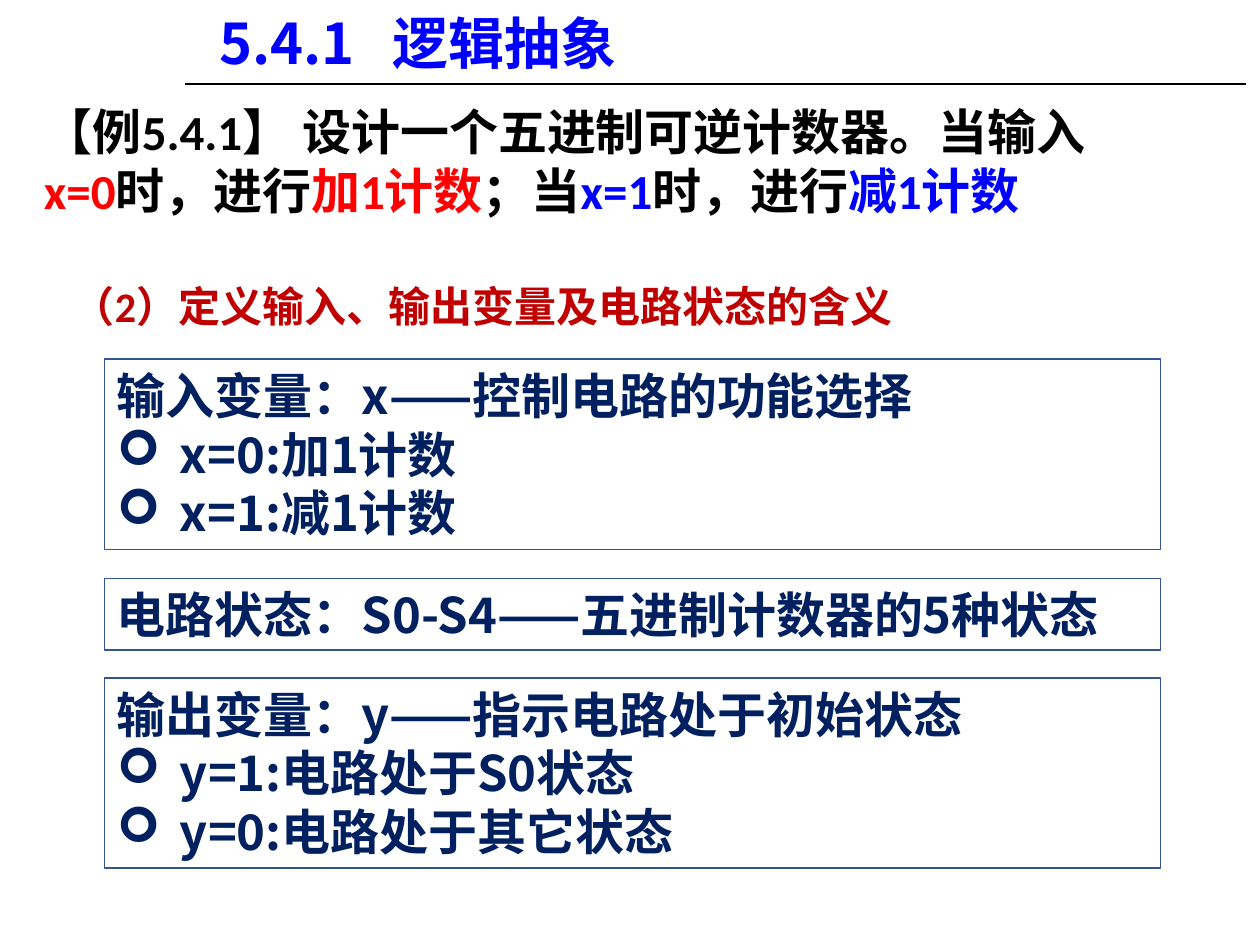
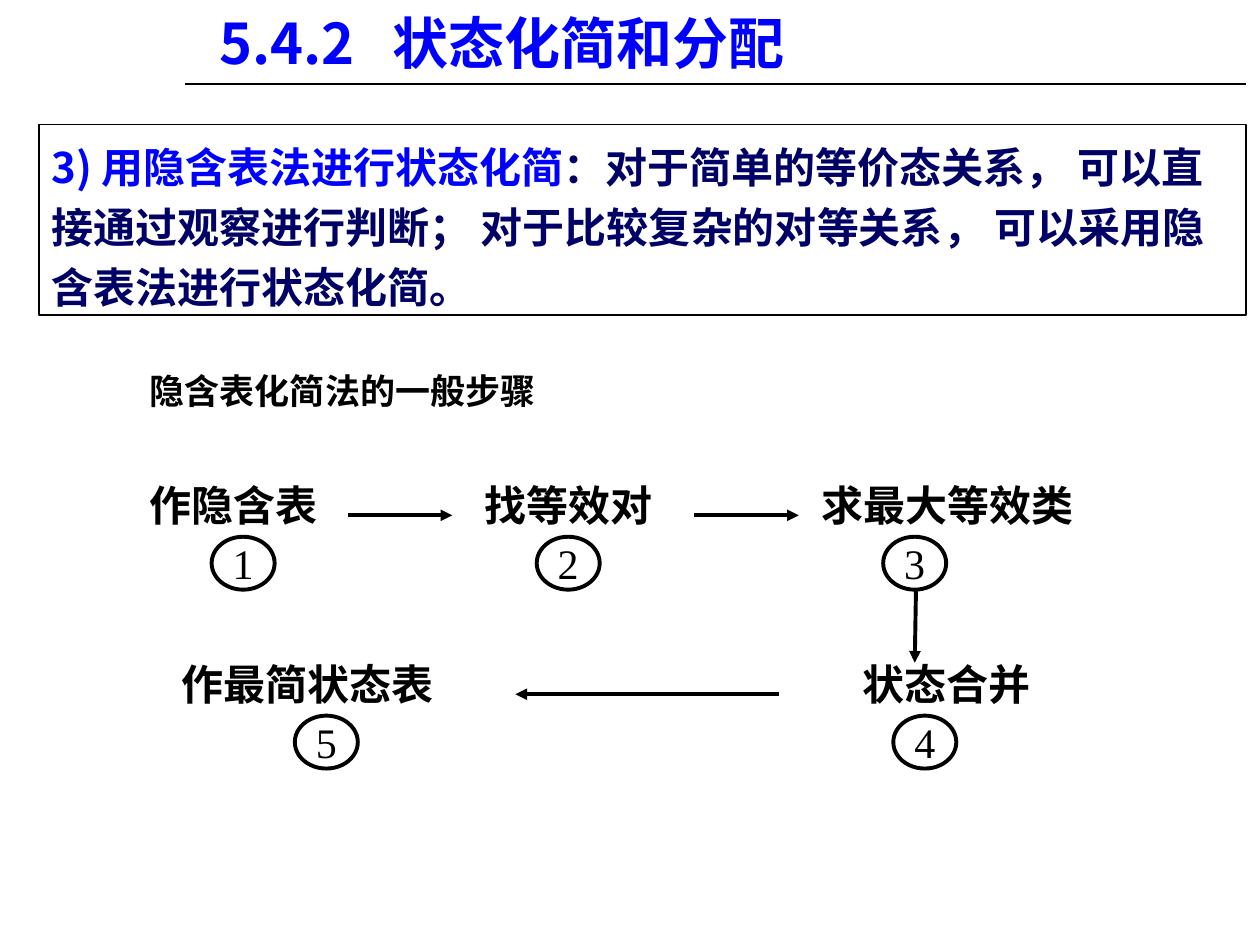
"""Two lecture slides on sequential logic design: abstraction and state reduction."""
from lxml.etree import SubElement
from pptx import Presentation
from pptx.dml.color import RGBColor
from pptx.enum.shapes import MSO_CONNECTOR, MSO_SHAPE
from pptx.enum.text import MSO_ANCHOR, PP_ALIGN
from pptx.oxml.ns import qn
from pptx.util import Inches, Pt

BLACK = RGBColor(0x00, 0x00, 0x00)
BLUE = RGBColor(0x00, 0x00, 0xFF)
RED = RGBColor(0xFF, 0x00, 0x00)
DARK_RED = RGBColor(0xC0, 0x00, 0x00)
NAVY = RGBColor(0x00, 0x20, 0x60)
INDIGO = RGBColor(0x00, 0x00, 0x66)
FRAME_BLUE = RGBColor(0x32, 0x54, 0x91)

SANS, LATIN, SERIF = "Noto Sans CJK SC", "Calibri", "Times New Roman"

deck = Presentation()
deck.slide_width, deck.slide_height = Inches(10), Inches(7.5)
COL = deck.slide_width / 100
ROW = deck.slide_height / 75


def write(slide, cell, lines, size, font, bold=True, shape=None, outline=BLACK, weight=0.75):
    """Place lines of (text, colour) pieces in a cell of (column, row, columns, rows)."""
    left, top, width, height = cell
    area = [int(left * COL), int(top * ROW), int(width * COL), int(height * ROW)]
    if shape is None:
        box = slide.shapes.add_textbox(*area)
    else:
        box = slide.shapes.add_shape(shape, *area)
        box.shadow.inherit = False
        box.fill.background()
        box.line.color.rgb = outline
        box.line.width = Pt(weight)
    frame = box.text_frame
    frame.word_wrap = True
    frame.vertical_anchor = MSO_ANCHOR.TOP
    for index, pieces in enumerate(lines):
        paragraph = frame.add_paragraph() if index else frame.paragraphs[0]
        paragraph.alignment = PP_ALIGN.LEFT
        for text, colour in pieces:
            run = paragraph.add_run()
            run.text = text
            run.font.size, run.font.bold, run.font.name = Pt(size), bold, font
            run.font.color.rgb = colour
            SubElement(run.font._element, qn("a:ea"), typeface=SANS)
    return frame


def draw_line(slide, start, end, weight, arrow=False):
    """Join two (column, row) points."""
    points = [int(n) for x, y in (start, end) for n in (x * COL, y * ROW)]
    line = slide.shapes.add_connector(MSO_CONNECTOR.STRAIGHT, *points)
    line.line.color.rgb = BLACK
    line.line.width = Pt(weight)
    if arrow:
        SubElement(line.line._get_or_add_ln(), qn("a:tailEnd"), type="triangle")
    SubElement(line._element.spPr, qn("a:effectLst"))


pages = []
for number, topic in [("5.4.1", "逻辑抽象"), ("5.4.2", "状态化简和分配")]:
    page = deck.slides.add_slide(deck.slide_layouts[6])
    draw_line(page, (14.7, 6.7), (98.9, 6.7), 1.25)
    title = write(page, (16.4, 0.2, 72.3, 6.3), [[(f"{number}\t{topic}", BLUE)]], 32, SANS)
    title.vertical_anchor = MSO_ANCHOR.BOTTOM
    tabs = SubElement(title.paragraphs[0]._p.get_or_add_pPr(), qn("a:tabLst"))
    SubElement(tabs, qn("a:tab"), pos=str(int(13.8 * COL)), algn="l")
    pages.append(page)
abstraction, reduction = pages

example = [("【例5.4.1】 设计一个五进制可逆计数器。当输入", BLACK), ("x=0", RED),
           ("时，进行", BLACK), ("加1计数", RED), ("；当", BLACK), ("x=1", BLUE),
           ("时，进行", BLACK), ("减1计数", BLUE)]
write(abstraction, (2.5, 7.6, 84.8, 10.4), [example], 28, LATIN)
write(abstraction, (4.8, 21.8, 69.4, 5),
      [[("（2）定义输入、输出变量及电路状态的含义", DARK_RED)]], 24, LATIN)

definitions = [
    (28.5, 15.1, ["输入变量：x——控制电路的功能选择", "x=0:加1计数", "x=1:减1计数"]),
    (45.9, 5.7, ["电路状态：S0-S4——五进制计数器的5种状态"]),
    (53.8, 15.1, ["输出变量：y——指示电路处于初始状态", "y=1:电路处于S0状态", "y=0:电路处于其它状态"]),
]
for top, height, texts in definitions:
    meaning = write(abstraction, (8.3, top, 83.8, height), [[(text, NAVY)] for text in texts],
                    28, SANS, shape=MSO_SHAPE.RECTANGLE, outline=FRAME_BLUE)
    for case in meaning.paragraphs[1:]:
        properties = case._p.get_or_add_pPr()
        properties.set("marL", str(int(5 * COL)))
        properties.set("indent", str(int(-5 * COL)))
        SubElement(properties, qn("a:buFont"), typeface="Wingdings")
        SubElement(properties, qn("a:buChar"), char="➢")

method = write(reduction, (3.1, 9.9, 95.8, 15.1), [[
    ("3) 用隐含表法进行状态化简", BLUE),
    ("：对于简单的等价态关系， 可以直接通过观察进行判断； "
     "对于比较复杂的对等关系， 可以采用隐含表法进行状态化简。", INDIGO)]],
    24, SANS, shape=MSO_SHAPE.RECTANGLE)
method.paragraphs[0].line_spacing = 1.2
write(reduction, (10.9, 28.8, 45.8, 4.4), [[("隐含表化简法的一般步骤", BLACK)]], 20, SERIF)

UPPER, LOWER = 37.6, 51.8
steps = [("作隐含表", 10.9, UPPER, 16.8), ("找等效对", 37.5, UPPER, 42.6),
         ("求最大等效类", 64.2, UPPER, 70.1), ("状态合并", 67.5, LOWER, 70.9),
         ("作最简状态表", 13.4, LOWER, 23.4)]
for order, (step, left, top, badge_left) in enumerate(steps, 1):
    write(reduction, (left, top, 25, 5), [[(step, BLACK)]], 24, SERIF)
    badge = write(reduction, (badge_left, top + 5, 5, 4.2), [[(str(order), BLACK)]], 24, SERIF,
                  bold=False, shape=MSO_SHAPE.OVAL, weight=2.25)
    badge.word_wrap = False
    badge.vertical_anchor = MSO_ANCHOR.MIDDLE
    badge.paragraphs[0].alignment = PP_ALIGN.CENTER

for start, end in [((27.6, 40.9), (35.9, 40.9)), ((55.1, 40.9), (63.4, 40.9)),
                   ((72.7, 46.8), (72.6, 52.6)), ((61.8, 55.1), (40.9, 55.1))]:
    draw_line(reduction, start, end, 2.25, arrow=True)

deck.save("out.pptx")
